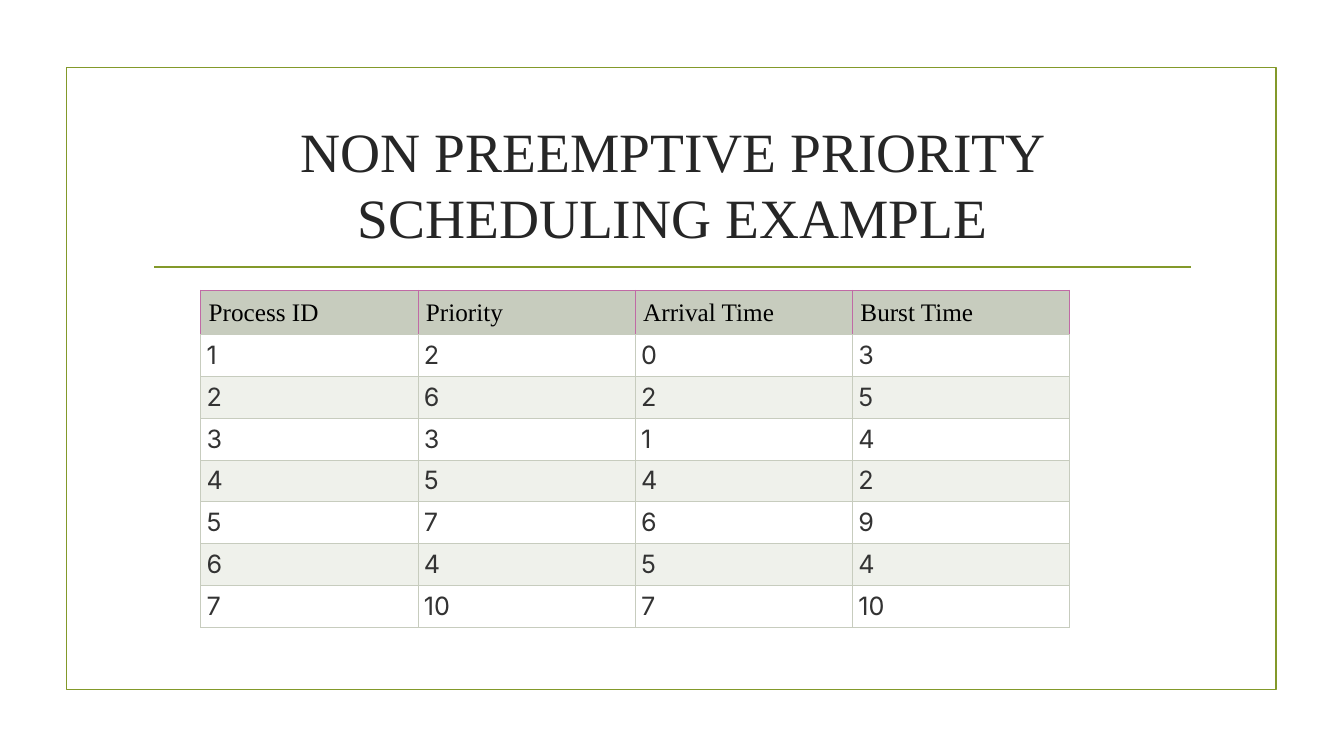
from lxml import etree
from pptx import Presentation
from pptx.dml.color import RGBColor
from pptx.enum.shapes import MSO_CONNECTOR, MSO_SHAPE
from pptx.enum.text import MSO_ANCHOR, PP_ALIGN
from pptx.oxml.ns import qn
from pptx.util import Inches, Pt

COLORS = {
    "olive": "83992A", "title": "262626", "header_text": "000000",
    "body_text": "333333", "sage": "C7CCBE", "band": "EFF1EB",
    "white": "FFFFFF", "pink": "C06AA5",
}
SERIF, SANS = "Times New Roman", "Inter"
HEADERS = ["Process ID", "Priority", "Arrival Time", "Burst Time"]
PROCESSES = [
    (1, 2, 0, 3),
    (2, 6, 2, 5),
    (3, 3, 1, 4),
    (4, 5, 4, 2),
    (5, 7, 6, 9),
    (6, 4, 5, 4),
    (7, 10, 7, 10),
]


def rgb(name):
    return RGBColor.from_string(COLORS[name])


def add_run(p, text, font, size, color):
    r = p.add_run()
    r.text = text
    r.font.name = font
    r.font.size = Pt(size)
    r.font.color.rgb = rgb(color)


def style_line(line):
    line.color.rgb = rgb("olive")
    line.width = Pt(1.25)


def add_frame(s, x, y, w, h):
    """Draw the slide border and the rule under the title."""
    sp = s.shapes.add_shape(MSO_SHAPE.RECTANGLE, Inches(x), Inches(y),
                            Inches(w), Inches(h))
    sp.shadow.inherit = False
    sp.fill.background()
    style_line(sp.line)
    rule_y = Inches(y + 1.98)
    rule = s.shapes.add_connector(MSO_CONNECTOR.STRAIGHT, Inches(x + 0.87), rule_y,
                                  Inches(x + 11.15), rule_y)
    style_line(rule.line)
    etree.SubElement(rule._element.spPr, qn("a:effectLst"))


def add_title(s, x, y, w, h):
    tf = s.shapes.add_textbox(Inches(x), Inches(y), Inches(w), Inches(h)).text_frame
    tf.word_wrap = True
    tf.vertical_anchor = MSO_ANCHOR.MIDDLE
    tf.margin_top = Inches(0.13)
    p = tf.paragraphs[0]
    p.alignment = PP_ALIGN.CENTER
    p.line_spacing = Pt(47)
    add_run(p, "NON PREEMPTIVE PRIORITY SCHEDULING EXAMPLE", SERIF, 39.6, "title")


def set_borders(cell, **sides):
    """Set half-point borders; call before the fill, which must come last."""
    tc_pr = cell._tc.get_or_add_tcPr()
    for side in ("L", "R", "T", "B"):
        ln = etree.SubElement(tc_pr, qn(f"a:ln{side}"), w=str(Pt(0.5)))
        fill = etree.SubElement(ln, qn("a:solidFill"))
        etree.SubElement(fill, qn("a:srgbClr"), val=COLORS[sides[side]])


def fill_cell(cell, text, header, fill):
    edge = "pink" if header else "sage"
    set_borders(cell, L=edge, R=edge, T=edge, B="sage")
    cell.fill.solid()
    cell.fill.fore_color.rgb = rgb(fill)
    cell.vertical_anchor = MSO_ANCHOR.MIDDLE
    cell.margin_left = cell.margin_right = Inches(0.08 if header else 0.06)
    cell.margin_top = cell.margin_bottom = Inches(0.07 if header else 0.05)
    p = cell.text_frame.paragraphs[0]
    if header:
        add_run(p, text, SERIF, 18, "header_text")
    else:
        p.alignment = PP_ALIGN.JUSTIFY
        add_run(p, text, SANS, 18, "body_text")


def add_process_table(s, x, y, w, h, header_h=0.43):
    rows = [HEADERS, *PROCESSES]
    table = s.shapes.add_table(len(rows), len(HEADERS), Inches(x), Inches(y),
                               Inches(w), Inches(h)).table
    for col in table.columns:
        col.width = Inches(w / len(HEADERS))
    for i, values in enumerate(rows):
        header = i == 0
        table.rows[i].height = Inches(header_h if header else
                                      (h - header_h) / len(PROCESSES))
        fill = "sage" if header else "white" if i % 2 else "band"
        for j, value in enumerate(values):
            fill_cell(table.cell(i, j), str(value), header, fill)


def main():
    prs = Presentation()
    prs.slide_width, prs.slide_height = Inches(13.33), Inches(7.5)
    s = prs.slides.add_slide(prs.slide_layouts[6])
    add_frame(s, 0.66, 0.67, 12, 6.17)
    add_title(s, 1.42, 1.07, 10.5, 1.43)
    add_process_table(s, 1.99, 2.88, 8.62, 3.33)
    prs.save("out.pptx")


if __name__ == "__main__":
    main()
